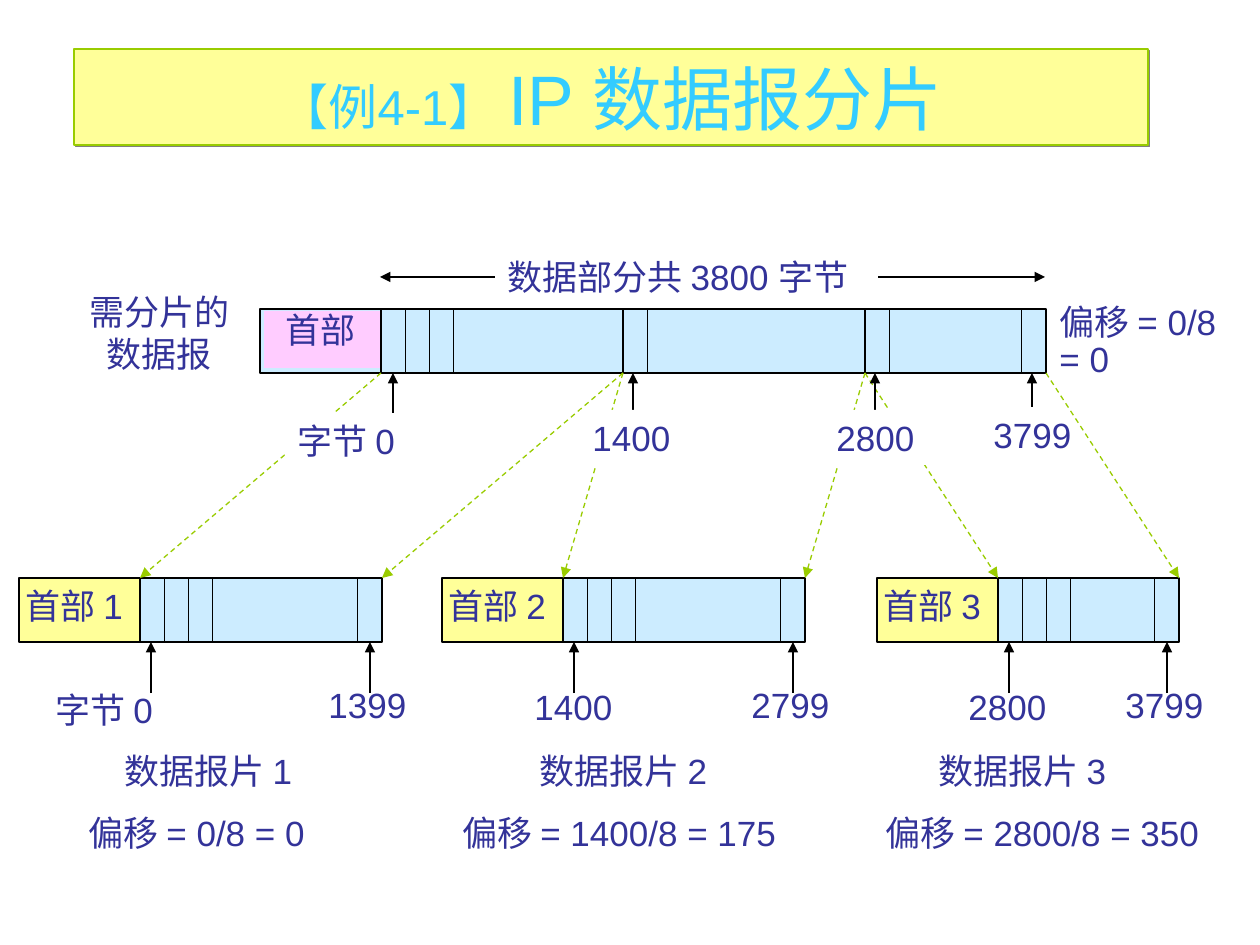
from lxml import etree
from pptx import Presentation
from pptx.dml.color import RGBColor
from pptx.enum.dml import MSO_LINE
from pptx.enum.shapes import MSO_CONNECTOR, MSO_SHAPE
from pptx.enum.text import MSO_ANCHOR, MSO_AUTO_SIZE, PP_ALIGN
from pptx.oxml.ns import qn
from pptx.util import Pt

PX = 914400 / 126
RECTANGLE = MSO_SHAPE.RECTANGLE
STRAIGHT = MSO_CONNECTOR.STRAIGHT
DASH = MSO_LINE.DASH
LEFT, CENTER = PP_ALIGN.LEFT, PP_ALIGN.CENTER
MIDDLE = MSO_ANCHOR.MIDDLE
GROW, FIXED = MSO_AUTO_SIZE.SHAPE_TO_FIT_TEXT, MSO_AUTO_SIZE.NONE
COLORS = {
    "ink": "333399", "black": "000000", "white": "FFFFFF", "data": "CCECFF",
    "header": "FFCCFF", "yellow": "FFFF99", "green": "99CC00",
    "title": "33CCFF", "shadow": "808080",
}
CELL = 24.2
HEADER_WIDTH = 121
TEXT_HEIGHT = 55
NUMBER_WIDTH = 104
BYTE_WIDTH = 132
NAME_WIDTH = 206


def emu(*lengths):
    """Turn px lengths into EMU."""
    return [round(length * PX) for length in lengths]


def color(name):
    """Look up a named colour."""
    return RGBColor.from_string(COLORS[name])


def add_span(para, text, size=20, ink="ink"):
    """Append a formatted span to a paragraph."""
    span = para.add_run()
    span.text = text
    span.font.name = "Arial"
    span.font.size = Pt(size)
    span.font.color.rgb = color(ink)


def add_label(page, box, text, size=20, ink="ink", align=LEFT, fill=None, spacing=None):
    """Place unwrapped text, one paragraph for each line."""
    label = page.shapes.add_textbox(*emu(*box))
    if fill:
        label.fill.solid()
        label.fill.fore_color.rgb = color(fill)
    frame = label.text_frame
    frame.word_wrap = False
    frame.auto_size = GROW
    for index, line in enumerate(text.split("\n")):
        para = frame.add_paragraph() if index else frame.paragraphs[0]
        para.alignment = align
        if index and spacing:
            para.line_spacing = spacing
        add_span(para, line, size, ink)
    return label


def add_box(page, box, fill, outline="black", weight=0.75):
    """Draw a filled rectangle, outlined unless outline is None."""
    shape = page.shapes.add_shape(RECTANGLE, *emu(*box))
    shape.shadow.inherit = False
    shape.fill.solid()
    shape.fill.fore_color.rgb = color(fill)
    if outline:
        shape.line.color.rgb = color(outline)
        shape.line.width = Pt(weight)
    else:
        shape.line.fill.background()


def add_line(page, start, end, ink="black", dash=None, heads=()):
    """Draw a straight line with optional triangle heads."""
    line = page.shapes.add_connector(STRAIGHT, *emu(*start, *end))
    line.line.color.rgb = color(ink)
    line.line.width = Pt(0.75)
    if dash:
        line.line.dash_style = dash
    outline = line.line._get_or_add_ln()
    for head in heads:
        etree.SubElement(outline, qn(head), type="triangle")
    etree.SubElement(line._element.spPr, qn("a:effectLst"))


def add_dividers(page, positions, top, height):
    """Draw the cell borders of a bar."""
    for x in positions:
        add_line(page, (x, top), (x, top + height))


def add_pointer(page, x, bar_bottom, length):
    """Point up at a byte of a bar."""
    add_line(page, (x, bar_bottom + length), (x, bar_bottom), heads=["a:tailEnd"])


def add_title(page, box):
    """Place the title banner with its hard shadow."""
    title = add_label(page, box, "【例4-1】 ", size=28, ink="title", align=CENTER, fill="yellow")
    frame = title.text_frame
    frame.word_wrap = True
    frame.auto_size = FIXED
    frame.vertical_anchor = MIDDLE
    add_span(frame.paragraphs[0], "IP 数据报分片", 40, "title")
    title.line.color.rgb = color("green")
    title.line.width = Pt(0.75)
    effects = etree.SubElement(title._element.spPr, qn("a:effectLst"))
    shadow = etree.SubElement(effects, qn("a:outerShdw"), dist="17961", dir="2700000")
    etree.SubElement(shadow, qn("a:srgbClr"), val=COLORS["shadow"])


def add_datagram(page, box, cuts):
    """Draw the whole datagram, its dimension line and side labels."""
    left, top, width, height = box
    right, data = left + width, left + HEADER_WIDTH
    add_box(page, box, "data", weight=1.5)
    add_box(page, (left + 4, top + 2, HEADER_WIDTH - 4, height - 7), "header", outline=None)
    add_label(page, (left + 13, top - 7, 96, TEXT_HEIGHT), "首部")
    starts = [data + CELL * step for step in range(4)]
    inner = [x for cut in cuts for x in (cut, cut + CELL)]
    add_dividers(page, starts + inner + [right - CELL], top, height)
    add_line(page, (data - 1, top - 32), (right - 1, top - 32), heads=["a:headEnd", "a:tailEnd"])
    add_label(page, (left + 235, top - 60, 383, TEXT_HEIGHT), "数据部分共 3800 字节", fill="white")
    add_label(page, (left - 187, top - 25, 173, 97), "需分片的\n数据报", align=CENTER)
    add_label(page, (right + 1, top - 15, 198, 93), "偏移 = 0/8\n= 0", spacing=0.9)


def add_byte_marks(page, marks, bar_bottom):
    """Mark byte numbers under the datagram on white labels."""
    for text, x, label_left, drop, width in marks:
        add_pointer(page, x, bar_bottom, 50)
        add_label(page, (label_left, bar_bottom + drop, width, TEXT_HEIGHT), text, fill="white")


def add_fragment(page, box, number, first, last, name_left, offset):
    """Draw a fragment with its byte marks, name and offset."""
    left, top, width, height = box
    right, data, bottom = left + width, left + HEADER_WIDTH, top + height
    add_box(page, (data, top, right - data, height), "data")
    add_dividers(page, [data + CELL * step for step in (1, 2, 3)] + [right - CELL], top, height)
    add_box(page, (left, top, HEADER_WIDTH, height), "yellow")
    add_label(page, (left - 6, top, BYTE_WIDTH, TEXT_HEIGHT), f"首部 {number}")
    for x in (data + 11, right - 12):
        add_pointer(page, x, bottom, 51)
    first_text, first_left, first_width, first_drop = first
    add_label(page, (left + first_left, bottom + first_drop, first_width, TEXT_HEIGHT), first_text)
    add_label(page, (right - 66, bottom + 35, NUMBER_WIDTH, TEXT_HEIGHT), last)
    add_label(page, (left + name_left, bottom + 101, NAME_WIDTH, TEXT_HEIGHT), f"数据报片 {number}")
    offset_text, offset_left, offset_width = offset
    add_label(page, (left + offset_left, bottom + 163, offset_width, TEXT_HEIGHT), offset_text)


def add_split_lines(page, spans, top, bottom):
    """Join each piece of the datagram to its fragment's data."""
    for pairs in spans:
        for source, target in pairs:
            add_line(page, (source, top), (target, bottom), "green", DASH, ["a:tailEnd"])


def main():
    """Build and save the deck."""
    deck = Presentation()
    deck.slide_width, deck.slide_height = emu(1260, 945)
    page = deck.slides.add_slide(deck.slide_layouts[6])
    bar_left, bar_top, bar_width, height = datagram = (260, 309, 786, 64)
    bar_bottom, fragment_top = bar_top + height, 578
    cuts = [623, 865]
    edges = [bar_left + HEADER_WIDTH, *cuts, bar_left + bar_width]
    fragments = [
        (19, 363, ("字节 0", 24, BYTE_WIDTH, 40), "1399", 93, ("偏移 = 0/8 = 0", 57, 257)),
        (442, 363, ("1400", 80, NUMBER_WIDTH, 37), "2799", 85, ("偏移 = 1400/8 = 175", 8, 354)),
        (877, 302, ("2800", 79, NUMBER_WIDTH, 37), "3799", 49, ("偏移 = 2800/8 = 350", -4, 354)),
    ]
    add_title(page, (74, 49, 1074, 96))
    add_datagram(page, datagram, cuts)
    add_byte_marks(page, [("3799", 1032, 981, 34, NUMBER_WIDTH)], bar_bottom)
    spans = []
    for index, (left, width, *details) in enumerate(fragments):
        add_fragment(page, (left, fragment_top, width, height), index + 1, *details)
        spans.append([(edges[index], left + HEADER_WIDTH), (edges[index + 1], left + width)])
    add_split_lines(page, spans, bar_bottom, fragment_top)
    add_byte_marks(page, [
        ("字节 0", 393, 285, 40, BYTE_WIDTH),
        ("1400", 633, 580, 37, NUMBER_WIDTH),
        ("2800", 875, 824, 37, NUMBER_WIDTH),
    ], bar_bottom)
    deck.save("out.pptx")


if __name__ == "__main__":
    main()
